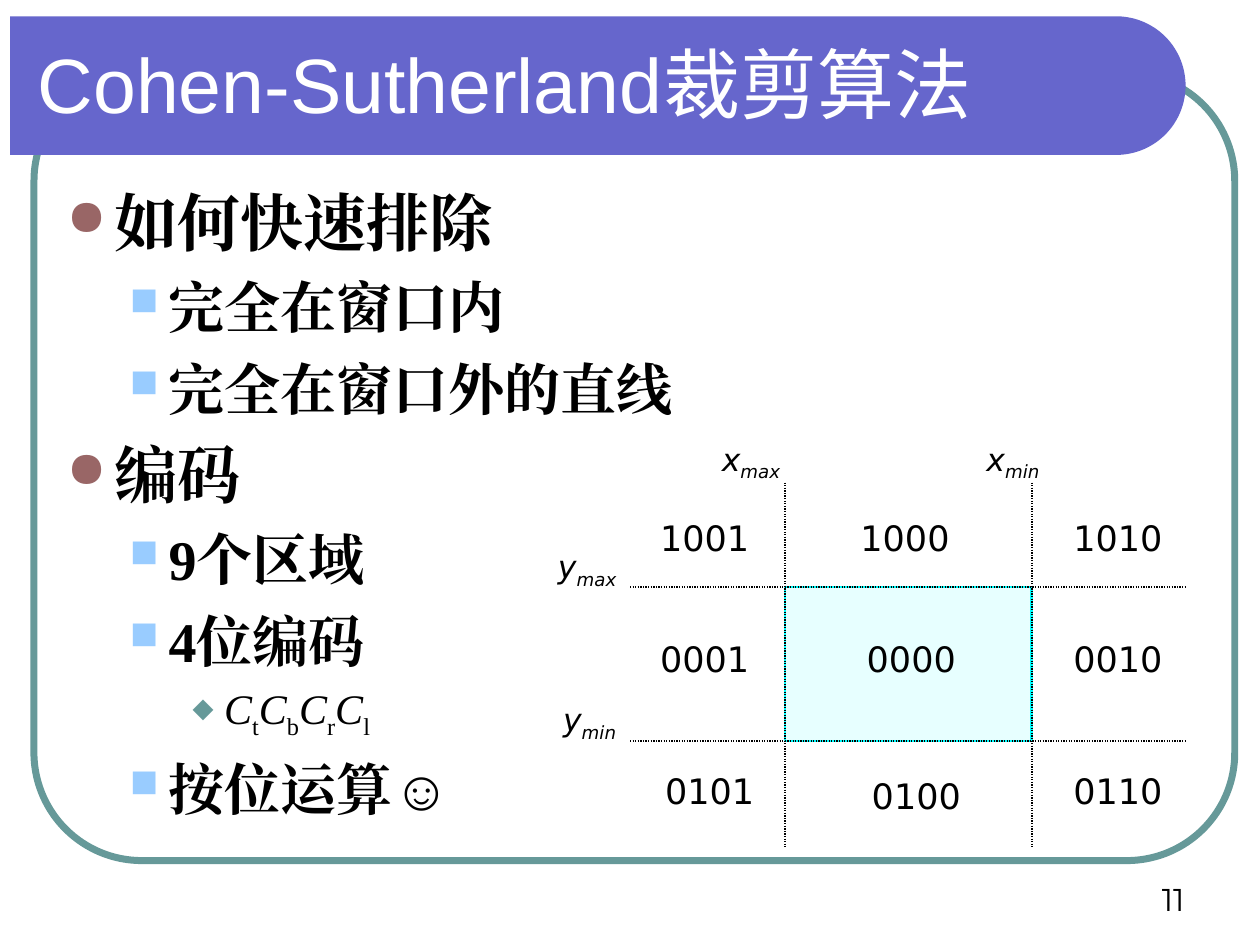
import math

import lxml.etree
import pptx
import pptx.dml.color
import pptx.enum.dml
import pptx.enum.shapes
import pptx.enum.text
import pptx.oxml
import pptx.oxml.ns
import pptx.util

Inches = pptx.util.Inches
Pt = pptx.util.Pt
RGBColor = pptx.dml.color.RGBColor
qn = pptx.oxml.ns.qn
Anchor = pptx.enum.text.MSO_ANCHOR
Align = pptx.enum.text.PP_ALIGN

BLACK = RGBColor(0x00, 0x00, 0x00)
WHITE = RGBColor(0xFF, 0xFF, 0xFF)
TEAL = RGBColor(0x66, 0x99, 0x99)
VIOLET = RGBColor(0x66, 0x66, 0xCC)
CYAN = RGBColor(0x00, 0xFF, 0xFF)
PALE_CYAN = RGBColor(0xCC, 0xFF, 0xFF)

TITLE_FONT = {"name": "Arial", "size": Pt(44), "color": WHITE}
CODE_FONT = {"name": "DejaVu Sans", "size": Pt(20), "color": BLACK}
AXIS_FONT = {"name": "DejaVu Sans", "size": Pt(18), "color": BLACK, "italic": True}
NUMBER_FONT = {"name": "Montserrat", "size": Pt(18), "color": BLACK}

LEVELS = [
    {"size": 36, "bold": True, "left": 0.38, "hang": 0.38, "before": 9, "line": 42,
     "bullet": ("●", "996666", 80)},
    {"size": 32, "bold": True, "left": 0.81, "hang": 0.31, "before": 8, "line": 38.5,
     "bullet": ("■", "99CCFF", 70)},
    {"size": 24, "bold": False, "left": 1.25, "hang": 0.25, "before": 6, "line": 32,
     "bullet": ("◆", "669999", 65)},
]
OUTLINE = [
    (0, [("如何快速排除", {})]),
    (1, [("完全在窗口内", {})]),
    (1, [("完全在窗口外的直线", {})]),
    (0, [("编码", {})]),
    (1, [("9个区域", {})]),
    (1, [("4位编码", {})]),
    (2, [part for side in "tbrl"
         for part in (("C", {"italic": True}), (side, {"subscript": True}))]),
    (1, [("按位运算", {}), ("☺", {"name": "Arial"})]),
]


def add_run(paragraph, text, font_format):
    run = paragraph.add_run()
    run.text = text
    for name, value in font_format.items():
        if name == "color":
            run.font.color.rgb = value
        elif name == "subscript":
            run.font._element.set("baseline", "-25000")
        else:
            setattr(run.font, name, value)
    east_asian = lxml.etree.SubElement(run.font._element, qn("a:ea"))
    east_asian.set("typeface", run.font.name)


def format_frame(frame, frame_format):
    defaults = {"word_wrap": True, "auto_size": pptx.enum.text.MSO_AUTO_SIZE.NONE}
    for name, value in {**defaults, **frame_format}.items():
        setattr(frame, name, value)


def add_text(shapes, box, runs, alignment=Align.LEFT, **frame_format):
    frame = shapes.add_textbox(*map(Inches, box)).text_frame
    format_frame(frame, frame_format)
    frame.paragraphs[0].alignment = alignment
    for text, font_format in runs:
        add_run(frame.paragraphs[0], text, font_format)


def add_line(shapes, start, end, color, width, dash=None):
    line = shapes.add_connector(
        pptx.enum.shapes.MSO_CONNECTOR.STRAIGHT, *map(Inches, start + end))
    line.line.color.rgb = color
    line.line.width = Pt(width)
    line.line.dash_style = dash
    lxml.etree.SubElement(line._element.spPr, qn("a:effectLst"))


def add_frame(slide, box):
    frame = slide.shapes.add_shape(
        pptx.enum.shapes.MSO_SHAPE.ROUNDED_RECTANGLE, *map(Inches, box))
    frame.adjustments[0] = 0.137
    frame.shadow.inherit = False
    frame.fill.background()
    frame.line.color.rgb = TEAL
    frame.line.width = Pt(4)


def add_band(slide, box):
    left, top, width, height = box
    radius = height / 2
    center = left + width - radius
    angles = [math.radians(degree) for degree in range(-90, 91, 3)]
    arc = [(Inches(center + radius * math.cos(angle)),
            Inches(top + radius + radius * math.sin(angle))) for angle in angles]
    builder = slide.shapes.build_freeform(Inches(left), Inches(top))
    builder.add_line_segments(arc + [(Inches(left), Inches(top + height))], close=True)
    band = builder.convert_to_shape()
    band.shadow.inherit = False
    band.fill.solid()
    band.fill.fore_color.rgb = VIOLET
    band.line.fill.background()


def add_title(slide, box):
    title = slide.shapes.title
    slide.shapes._spTree.append(title._element)
    title.left, title.top, title.width, title.height = map(Inches, box)
    format_frame(title.text_frame, {"vertical_anchor": Anchor.MIDDLE})
    paragraph = title.text_frame.paragraphs[0]
    paragraph.alignment = Align.LEFT
    add_run(paragraph, "Cohen-Sutherland裁剪算法", TITLE_FONT)


def add_bullet(paragraph, level):
    character, color, size = level["bullet"]
    properties = paragraph._p.get_or_add_pPr()
    properties.set("marL", str(Inches(level["left"])))
    properties.set("indent", str(-Inches(level["hang"])))
    bullet_color = lxml.etree.SubElement(properties, qn("a:buClr"))
    lxml.etree.SubElement(bullet_color, qn("a:srgbClr")).set("val", color)
    lxml.etree.SubElement(properties, qn("a:buSzPct")).set("val", str(size * 1000))
    lxml.etree.SubElement(properties, qn("a:buChar")).set("char", character)


def add_outline(slide, box):
    frame = slide.shapes.add_textbox(*map(Inches, box)).text_frame
    format_frame(frame, {"margin_top": Inches(0.08)})
    for index, (depth, runs) in enumerate(OUTLINE):
        level = LEVELS[depth]
        paragraph = frame.add_paragraph() if index else frame.paragraphs[0]
        paragraph.level = depth
        add_bullet(paragraph, level)
        paragraph.space_before = Pt(level["before"] if index else 0)
        paragraph.line_spacing = Pt(level["line"])
        base = {"name": "Times New Roman", "size": Pt(level["size"]),
                "bold": level["bold"], "color": BLACK}
        for text, font_format in runs:
            add_run(paragraph, text, {**base, **font_format})


def add_region_codes(shapes, left, top):
    nudges = {"1000": (-0.05, 0), "0100": (0.04, 0.04), "0101": (0.04, 0)}
    for vertical, y in zip(("10", "00", "01"), (0.22, 1.18, 2.23)):
        for column, horizontal in enumerate(("01", "00", "10")):
            code = vertical + horizontal
            across, down = nudges.get(code, (0, 0))
            box = (left + 0.14 + 1.64 * column + across, top + y + down, 0.91, 0.44)
            add_text(shapes, box, [(code, CODE_FONT)])


def add_region_diagram(slide, box):
    left, top, width, height = box
    x_lines = (left + 1.23, left + 3.19)
    y_lines = (top + 0.83, top + 2.05)
    shapes = slide.shapes.add_group_shape().shapes
    window = shapes.add_shape(
        pptx.enum.shapes.MSO_SHAPE.RECTANGLE, Inches(x_lines[0]), Inches(y_lines[0]),
        Inches(x_lines[1] - x_lines[0]), Inches(y_lines[1] - y_lines[0]))
    window.shadow.inherit = False
    window.fill.solid()
    window.fill.fore_color.rgb = PALE_CYAN
    color = window._element.spPr.find(qn("a:solidFill")).find(qn("a:srgbClr"))
    lxml.etree.SubElement(color, qn("a:alpha")).set("val", "46000")
    window.line.color.rgb = CYAN
    window.line.width = Pt(1.5)
    dash = pptx.enum.dml.MSO_LINE.ROUND_DOT
    for y in y_lines:
        add_line(shapes, (left, y), (left + width, y), BLACK, 0.75, dash)
    for x in x_lines:
        add_line(shapes, (x, top), (x, top + height), BLACK, 0.75, dash)
    add_region_codes(shapes, left, top)
    labels = [("y", "max", -0.67, 0.46), ("y", "min", -0.63, 1.68),
              ("x", "max", 0.63, -0.39), ("x", "min", 2.73, -0.39)]
    for axis, limit, x, y in labels:
        runs = [(axis, AXIS_FONT), (limit, {**AXIS_FONT, "subscript": True})]
        add_text(slide.shapes, (left + x, top + y, 1.01, 0.44), runs)


def main():
    presentation = pptx.Presentation()
    presentation.slide_width = Inches(10)
    presentation.slide_height = Inches(7.5)
    slide = presentation.slides.add_slide(presentation.slide_layouts[5])
    add_frame(slide, (0.27, 0.58, 9.53, 6.25))
    add_band(slide, (0.08, 0.13, 9.33, 1.1))
    add_line(slide.shapes, (0.34, 1.33), (9.17, 1.33), WHITE, 3)
    add_title(slide, (0.2, 0.13, 9.18, 1.05))
    add_outline(slide, (0.43, 1.39, 9.21, 5.36))
    add_text(slide.shapes, (7.17, 6.83, 2.33, 0.5), [("11", NUMBER_FONT)],
             Align.RIGHT, vertical_anchor=Anchor.BOTTOM)
    add_region_diagram(slide, (5, 3.83, 4.42, 2.89))
    presentation.save("out.pptx")


if __name__ == "__main__":
    main()
